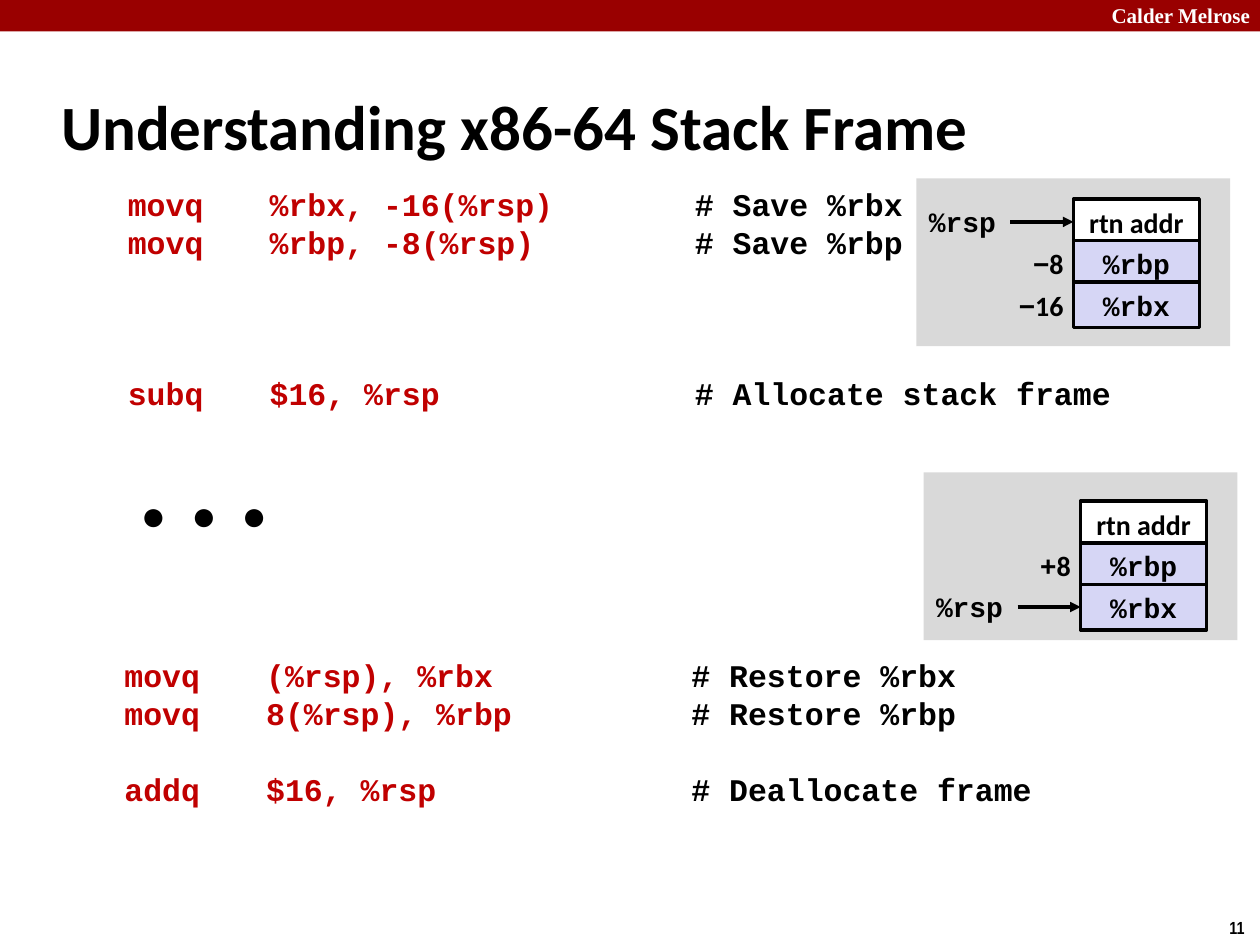
import pptx
import pptx.util
import pptx.dml.color
import pptx.enum.shapes
import pptx.enum.text
from lxml import etree

Pt = pptx.util.Pt
ALIGN = pptx.enum.text.PP_ALIGN
ANCHOR = pptx.enum.text.MSO_ANCHOR
SHAPE = pptx.enum.shapes.MSO_SHAPE
CONNECTOR = pptx.enum.shapes.MSO_CONNECTOR
BLACK, WHITE, RED, CODE_RED = "000000", "FFFFFF", "990000", "C00000"
GREY, LAVENDER = "D9D9D9", "D6D6F5"
SANS, MONO = "Calibri", "Courier New"


def rgb(value):
    return pptx.dml.color.RGBColor.from_string(value)


class Deck:
    """Holds the style and the current slide."""

    def __init__(self, prs):
        self.s = prs.slides.add_slide(prs.slide_layouts[6])
        self.tabs = (36, 117, 360)

    def style(self, font, size, name=None, color=BLACK):
        font.size, font.bold = Pt(size), True
        font.color.rgb = rgb(color)
        if name:
            font.name = name

    def rect(self, x, y, w, h, fill, line=None):
        sp = self.s.shapes.add_shape(SHAPE.RECTANGLE, Pt(x), Pt(y), Pt(w), Pt(h))
        sp.shadow.inherit = False
        sp.fill.solid()
        sp.fill.fore_color.rgb = rgb(fill)
        if line:
            sp.line.color.rgb = rgb(line)
            sp.line.width = Pt(2)
        else:
            sp.line.fill.background()
        return sp

    def cell(self, x, y, w, h, text, fill, name):
        tf = self.rect(x, y, w, h, fill, BLACK).text_frame
        tf.word_wrap = False
        tf.vertical_anchor = ANCHOR.MIDDLE
        p = tf.paragraphs[0]
        p.text, p.alignment = text, ALIGN.CENTER
        self.style(p.font, 16, name)

    def box(self, x, y, w, h, wrap=True):
        tf = self.s.shapes.add_textbox(Pt(x), Pt(y), Pt(w), Pt(h)).text_frame
        tf.word_wrap = wrap
        return tf

    def text(self, x, y, w, h, text, size, name, color=BLACK, wrap=False):
        tf = self.box(x, y, w, h, wrap)
        p = tf.paragraphs[0]
        p.text = text
        self.style(p.font, size, name, color)
        return tf

    def offset(self, x, y, sign, number):
        tf = self.box(x, y, 57.6, 26.6)
        tf.margin_left = tf.margin_right = Pt(3.6)
        p = tf.paragraphs[0]
        p.alignment = ALIGN.RIGHT
        self.style(p.font, 16)
        for text, name in ((sign, "Arial"), (number, SANS)):
            r = p.add_run()
            r.text, r.font.name = text, name

    def arrow(self, x1, y1, x2, y2):
        c = self.s.shapes.add_connector(
            CONNECTOR.STRAIGHT, Pt(x1), Pt(y1), Pt(x2), Pt(y2))
        c.line.color.rgb = rgb(BLACK)
        c.line.width = Pt(2)
        ln = c.line._get_or_add_ln()
        etree.SubElement(ln, pptx.oxml.ns.qn("a:tailEnd"), type="triangle")
        etree.SubElement(c._element.spPr, pptx.oxml.ns.qn("a:effectLst"))

    def code(self, x, y, h, lines):
        """Each line: blank lines before it, operation, operands, comment."""
        pitch = 21.6
        tf = self.box(x, y, 678, h)
        for i, (gap, op, operands, comment) in enumerate(lines):
            p = tf.paragraphs[0] if i == 0 else tf.add_paragraph()
            tabs = etree.SubElement(
                p._p.get_or_add_pPr(), pptx.oxml.ns.qn("a:tabLst"))
            for pos in self.tabs:
                etree.SubElement(tabs, pptx.oxml.ns.qn("a:tab"),
                                 pos=str(int(Pt(pos))), algn="l")
            p.line_spacing = Pt(pitch)
            p.space_before = Pt(gap * pitch)
            self.style(p.font, 18, MONO)
            for text, color in ((f"\t{op}\t{operands}", CODE_RED),
                                (f"\t# {comment}", BLACK)):
                r = p.add_run()
                r.text = text
                r.font.color.rgb = rgb(color)

    def stack(self, x, y, top, rsp_row, offsets):
        """Grey panel with three stack cells, offsets and the %rsp arrow."""
        step, cell_h, cell_x = 23.75, 26, x + 89.7
        self.rect(x, y, 179.3, 95.8, GREY)
        rows = (("rtn addr", WHITE, SANS), ("%rbp", LAVENDER, MONO),
                ("%rbx", LAVENDER, MONO))
        for i, (text, fill, name) in enumerate(rows):
            self.cell(cell_x, top + i * step, 72, cell_h, text, fill, name)
        for row, sign, number in offsets:
            self.offset(x + 30, top + row * step, sign, number)
        rsp_y = top + rsp_row * step
        self.text(x, rsp_y - 0.5, 52.6, 26.6, "%rsp", 16, MONO)
        self.arrow(cell_x - 36, rsp_y + cell_h / 2, cell_x, rsp_y + cell_h / 2)


prs = pptx.Presentation()
prs.slide_width, prs.slide_height = Pt(720), Pt(540)
deck = Deck(prs)

# Header bar, page number and title
deck.rect(0, 0, 720, 18, RED)
tf = deck.text(622, -2, 99.5, 21.6, "Calder Melrose", 12, "Times New Roman", WHITE)
tf.paragraphs[0].alignment = ALIGN.RIGHT
deck.text(695.5, 520.5, 24.5, 19.5, "11", 10, "Arial Narrow")
tf = deck.text(28, 41.8, 597.6, 59.8, "Understanding x86-64 Stack Frame", 36, SANS,
               wrap=True)
tf.vertical_anchor = ANCHOR.MIDDLE

# Stack before and after allocation
deck.stack(523.7, 102, 113.8, 0, ((1, "\u2212", "8"), (2, "\u2212", "16")))
deck.stack(527.8, 270, 286.4, 2, ((1, "+", "8"),))

# Code listing
deck.code(30, 102.2, 138.2, (
    (0, "movq", "%rbx, -16(%rsp)", "Save %rbx"),
    (0, "movq", "%rbp, -8(%rsp)", "Save %rbp"),
    (3, "subq", "$16, %rsp", "Allocate stack frame")))
deck.code(28, 371.5, 94.3, (
    (0, "movq", "(%rsp), %rbx", "Restore %rbx"),
    (0, "movq", "8(%rsp), %rbp", "Restore %rbp"),
    (1, "addq", "$16, %rsp", "Deallocate frame")))
deck.text(73.4, 275.8, 98, 36, "\u25cf \u25cf \u25cf", 24, MONO)

prs.save("out.pptx")
